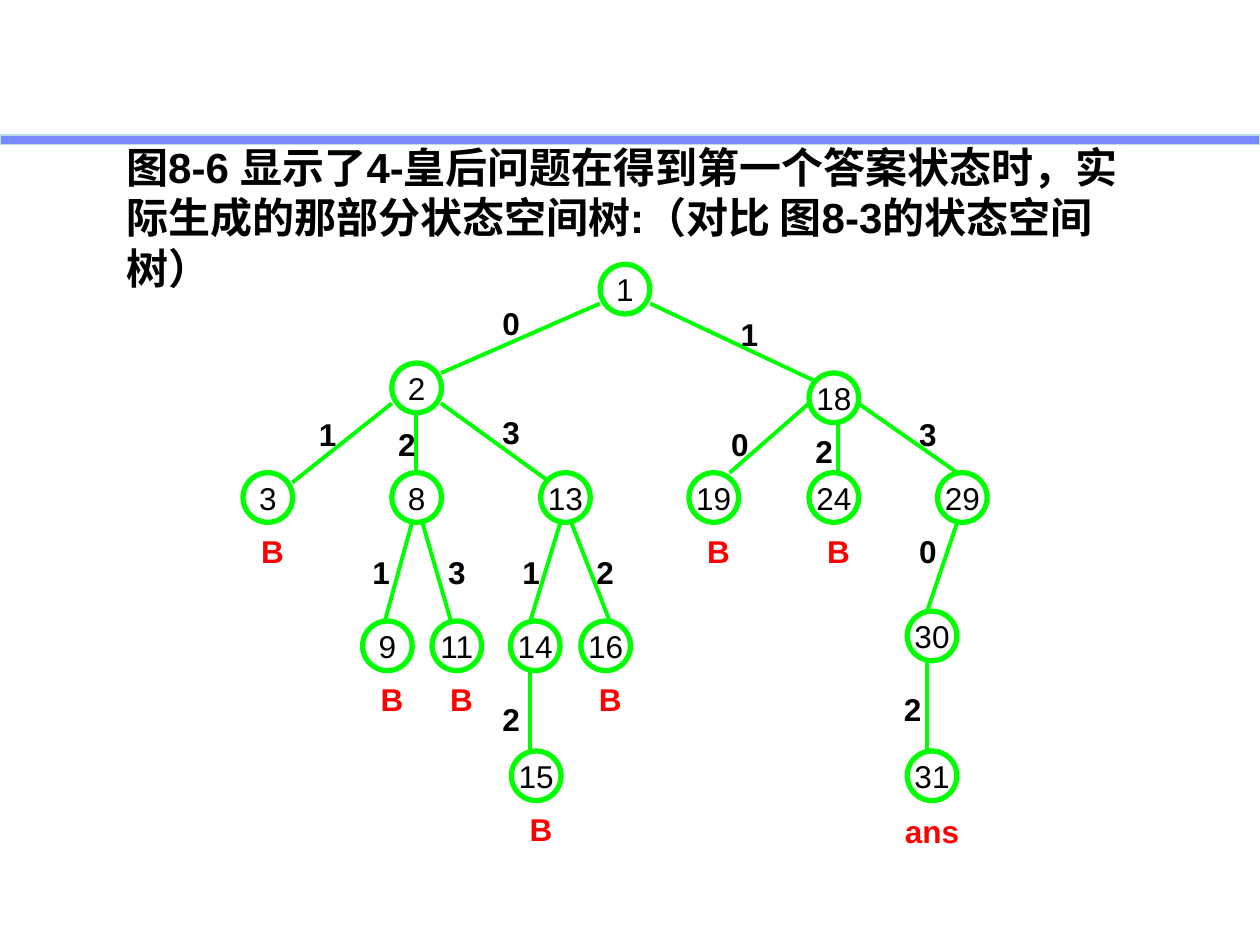
from pptx import Presentation
from pptx.dml.color import RGBColor
from pptx.enum.shapes import MSO_CONNECTOR, MSO_SHAPE
from pptx.enum.text import MSO_ANCHOR, MSO_AUTO_SIZE, PP_ALIGN
from pptx.oxml.ns import qn
from pptx.util import Cm, Pt

LEFT, CENTER = PP_ALIGN.LEFT, PP_ALIGN.CENTER
TOP, MIDDLE = MSO_ANCHOR.TOP, MSO_ANCHOR.MIDDLE
NO_FIT = MSO_AUTO_SIZE.NONE
OVAL, RECT = MSO_SHAPE.OVAL, MSO_SHAPE.RECTANGLE
STRAIGHT = MSO_CONNECTOR.STRAIGHT

FONT = "Arial"
COLORS = {
    "text": "000000",
    "outcome": "FF0000",
    "tree": "00FF00",
    "node": "FFFFFF",
    "bar": "7889FB",
    "bar_line": "BBE0E3",
}
NODE_SIZE = 1.0
LABEL_HEIGHT = 0.76

TITLE = ("图8-6 显示了4-皇后问题在得到第一个答案状态时，"
         "实际生成的那部分状态空间树:（对比 图8-3的状态空间树）")

# Node number: left, top (cm)
NODES = {
    1: (12.1, 5.33),
    2: (7.9, 7.32), 18: (16.31, 7.52),
    3: (4.9, 9.53), 8: (7.9, 9.53), 13: (10.9, 9.53),
    19: (13.89, 9.53), 24: (16.31, 9.53), 29: (18.9, 9.53),
    9: (7.31, 12.52), 11: (8.71, 12.52), 14: (10.29, 12.52),
    16: (11.71, 12.52), 30: (18.29, 12.32),
    15: (10.31, 15.14), 31: (18.29, 15.14),
}

# Start point, end point, queen column, label left, top and width (cm)
EDGES = [
    ((12.09, 6.12), (8.89, 7.52), "0", (9.91, 6.12, 0.79)),
    ((13.11, 6.12), (16.51, 7.72), "1", (14.71, 6.35, 0.79)),
    ((7.9, 8.13), (5.89, 9.73), "1", (6.3, 8.36, 0.61)),
    ((8.38, 8.33), (8.38, 9.73), "2", (7.9, 8.56, 0.61)),
    ((8.89, 8.13), (11.1, 9.73), "3", (9.91, 8.33, 0.79)),
    ((16.31, 8.13), (14.71, 9.53), "0", (14.71, 8.56, 0.41)),
    ((16.89, 8.51), (16.89, 9.93), "2", (16.31, 8.71, 0.61)),
    ((17.3, 8.13), (19.3, 9.53), "3", (18.31, 8.36, 0.79)),
    ((8.31, 10.52), (7.7, 12.73), "1", (7.29, 11.15, 0.79)),
    ((8.51, 10.52), (9.09, 12.52), "3", (8.92, 11.15, 0.58)),
    ((11.3, 10.52), (10.69, 12.52), "1", (10.31, 11.15, 0.79)),
    ((11.51, 10.52), (12.29, 12.52), "2", (11.91, 11.15, 0.58)),
    ((19.3, 10.52), (18.69, 12.32), "0", (18.31, 10.72, 0.79)),
    ((10.69, 13.54), (10.69, 15.14), "2", (9.91, 14.12, 0.79)),
    ((18.69, 13.13), (18.69, 15.14), "2", (18.11, 13.92, 0.58)),
]

DEAD_NODES = [3, 9, 11, 15, 16, 19, 24]
ANSWER_NODE = 31


def rgb(name):
    return RGBColor.from_string(COLORS[name])


def format_text(p, size, color="text", bold=False, align=CENTER):
    p.alignment = align
    p.font.name = FONT
    p.font.size = Pt(size)
    p.font.bold = bold
    p.font.color.rgb = rgb(color)


def add_title(s):
    sp = s.shapes.title
    sp.left, sp.top, sp.width, sp.height = Cm(2.29), Cm(2.72), Cm(21.21), Cm(3.3)
    tf = sp.text_frame
    tf.text = TITLE
    tf.word_wrap = True
    tf.auto_size = NO_FIT
    tf.vertical_anchor = TOP
    format_text(tf.paragraphs[0], 24, bold=True, align=LEFT)


def add_filled_shape(s, kind, left, top, width, height, fill, line, line_width):
    sp = s.shapes.add_shape(kind, Cm(left), Cm(top), Cm(width), Cm(height))
    sp.shadow.inherit = False
    sp.fill.solid()
    sp.fill.fore_color.rgb = rgb(fill)
    sp.line.color.rgb = rgb(line)
    sp.line.width = Pt(line_width)
    return sp


def add_node(s, number, left, top):
    sp = add_filled_shape(s, OVAL, left, top, NODE_SIZE, NODE_SIZE,
                          "node", "tree", 3)
    tf = sp.text_frame
    tf.text = str(number)
    tf.word_wrap = False
    tf.vertical_anchor = MIDDLE
    format_text(tf.paragraphs[0], 18)


def add_edge(s, start, end):
    line = s.shapes.add_connector(STRAIGHT, *map(Cm, start + end))
    line.line.color.rgb = rgb("tree")
    line.line.width = Pt(2.25)
    sp_pr = line._element.spPr
    sp_pr.append(sp_pr.makeelement(qn("a:effectLst"), {}))


def add_label(s, text, left, top, width, color="text"):
    sp = s.shapes.add_textbox(Cm(left), Cm(top), Cm(width), Cm(LABEL_HEIGHT))
    tf = sp.text_frame
    tf.text = text
    tf.word_wrap = True
    tf.margin_left = tf.margin_top = tf.margin_right = tf.margin_bottom = 0
    format_text(tf.paragraphs[0], 18, color, bold=True)


def main():
    prs = Presentation()
    prs.slide_width, prs.slide_height = Cm(25.4), Cm(19.05)
    s = prs.slides.add_slide(prs.slide_layouts[5])

    # Heading
    add_filled_shape(s, RECT, 0, 2.72, 25.4, 0.2, "bar", "bar_line", 0.75)
    add_title(s)

    # State space tree: edges lie behind nodes
    for start, end, _, _ in EDGES:
        add_edge(s, start, end)
    for _, _, column, box in EDGES:
        add_label(s, column, *box)
    for number, (left, top) in NODES.items():
        add_node(s, number, left, top)

    # Outcomes below the leaves
    for number in DEAD_NODES:
        left, top = NODES[number]
        add_label(s, "B", left + 0.2, top + 1.19, 0.79, "outcome")
    left, top = NODES[ANSWER_NODE]
    add_label(s, "ans", left - 0.2, top + 1.22, 1.4, "outcome")

    prs.save("out.pptx")


if __name__ == "__main__":
    main()
